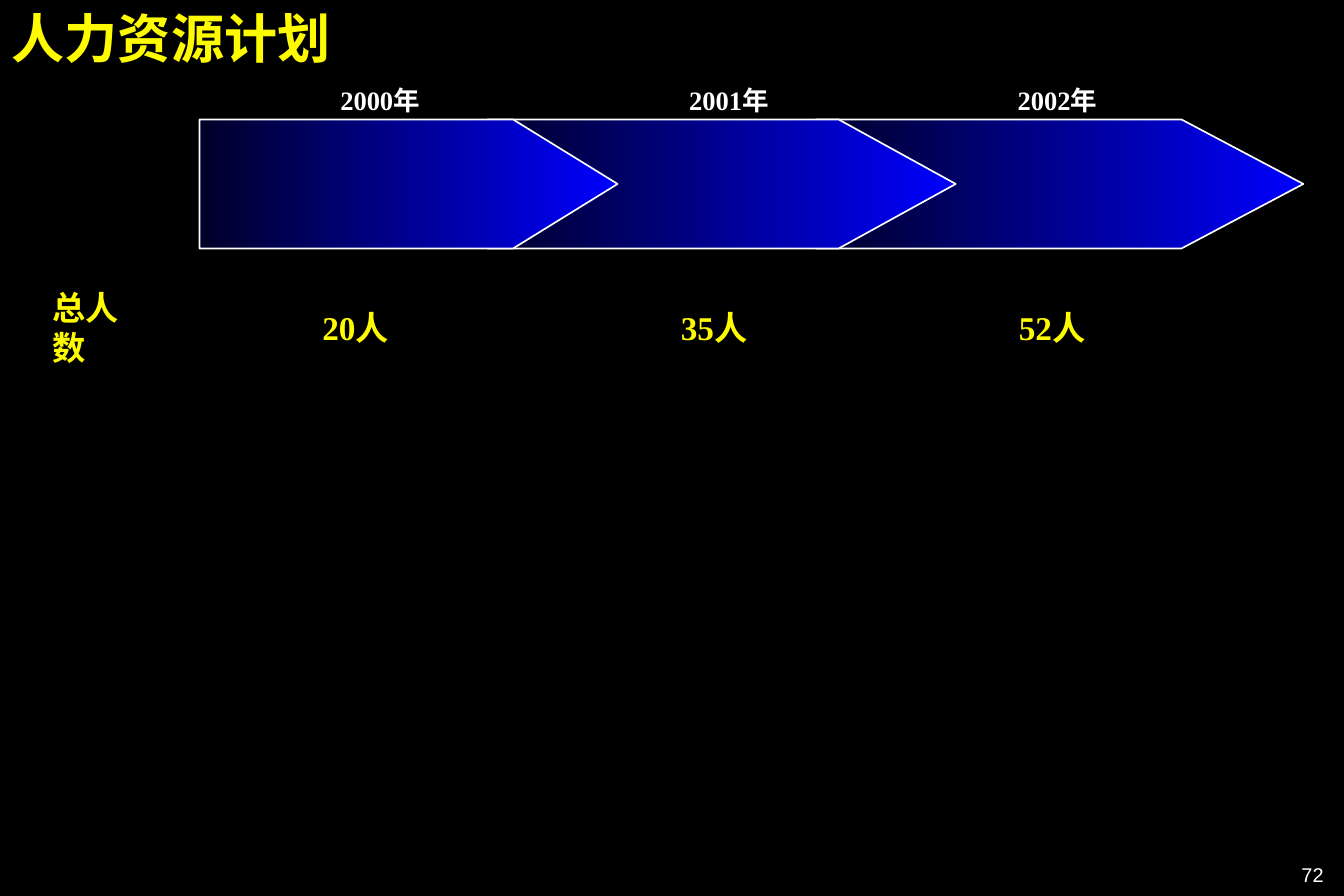
from pptx import Presentation
from pptx.dml.color import RGBColor
from pptx.enum.text import MSO_ANCHOR, MSO_AUTO_SIZE, PP_ALIGN
from pptx.util import Inches, Pt

COLORS = {
    "black": "000000",
    "white": "FFFFFF",
    "yellow": "FEFB00",
    "bright_blue": "0000FE",
    "dark_blue": "000028",
}


def color(name):
    return RGBColor.from_string(COLORS[name])


class PlanSlide:
    """Holds the style and the current slide."""

    formats = {
        "title": {"name": "Times New Roman", "size": Pt(32), "bold": True},
        "year": {"name": "Times New Roman", "size": Pt(16), "bold": True},
        "headcount": {"name": "Times New Roman", "size": Pt(20), "bold": True},
        "number": {"name": "Arial", "size": Pt(12), "bold": False},
    }

    def __init__(self, deck):
        self.page = deck.slides.add_slide(deck.slide_layouts[6])
        background = self.page.background.fill
        background.solid()
        background.fore_color.rgb = color("black")

    def text(self, words, left, top, width, height, style, ink, **frame_format):
        box = self.page.shapes.add_textbox(
            Inches(left), Inches(top), Inches(width), Inches(height))
        frame = box.text_frame
        settings = {"word_wrap": True,
                    "auto_size": MSO_AUTO_SIZE.SHAPE_TO_FIT_TEXT, **frame_format}
        for name, value in settings.items():
            setattr(frame, name, value)
        para = frame.paragraphs[0]
        span = para.add_run()
        span.text = words
        for name, value in self.formats[style].items():
            setattr(span.font, name, value)
        span.font.color.rgb = color(ink)
        return para

    def arrow(self, left, top, width, height):
        shoulder = left + 0.75 * width
        bottom = top + height
        outline = [(shoulder, top), (left + width, top + height / 2),
                   (shoulder, bottom), (left, bottom)]
        builder = self.page.shapes.build_freeform(Inches(left), Inches(top))
        builder.add_line_segments(
            [(Inches(x), Inches(y)) for x, y in outline], close=True)
        shape = builder.convert_to_shape()
        shape.shadow.inherit = False
        shape.fill.gradient()
        shape.fill.gradient_angle = 180
        stops = shape.fill.gradient_stops
        for stop, position, name in zip(stops, (0, 1), ("bright_blue", "dark_blue")):
            stop.position = position
            stop.color.rgb = color(name)
        shape.line.color.rgb = color("white")
        shape.line.width = Pt(1)


def main():
    deck = Presentation()
    deck.slide_width, deck.slide_height = Inches(11.25), Inches(7.5)
    slide = PlanSlide(deck)

    # Title
    slide.text("人力资源计划", 0, 0, 10.83, 0.64, "title", "yellow")

    # Year arrows, the latest at the back
    for left, width in ((6.83, 4.08), (4.08, 3.92), (1.67, 3.5)):
        slide.arrow(left, 1, width, 1.08)

    # Year labels
    for words, left, width in (("2000年", 2.75, 0.92), ("2001年", 5.67, 1.83),
                               ("2002年", 8.42, 1.83)):
        slide.text(words, left, 0.65, width, 0.37, "year", "white")

    # Headcount row
    for words, left, width in (("总人数", 0.34, 1.03), ("20人", 2.6, 0.82),
                               ("35人", 5.6, 0.82), ("52人", 8.43, 0.82)):
        slide.text(words, left, 2.52, width, 0.44, "headcount", "yellow",
                   word_wrap=False, vertical_anchor=MSO_ANCHOR.MIDDLE)

    # Page number
    number = slide.text("72", 8.75, 7.22, 2.33, 0.2, "number", "white",
                        auto_size=MSO_AUTO_SIZE.NONE, margin_left=0,
                        margin_right=0, margin_top=0, margin_bottom=0)
    number.alignment = PP_ALIGN.RIGHT

    deck.save("out.pptx")


if __name__ == "__main__":
    main()
